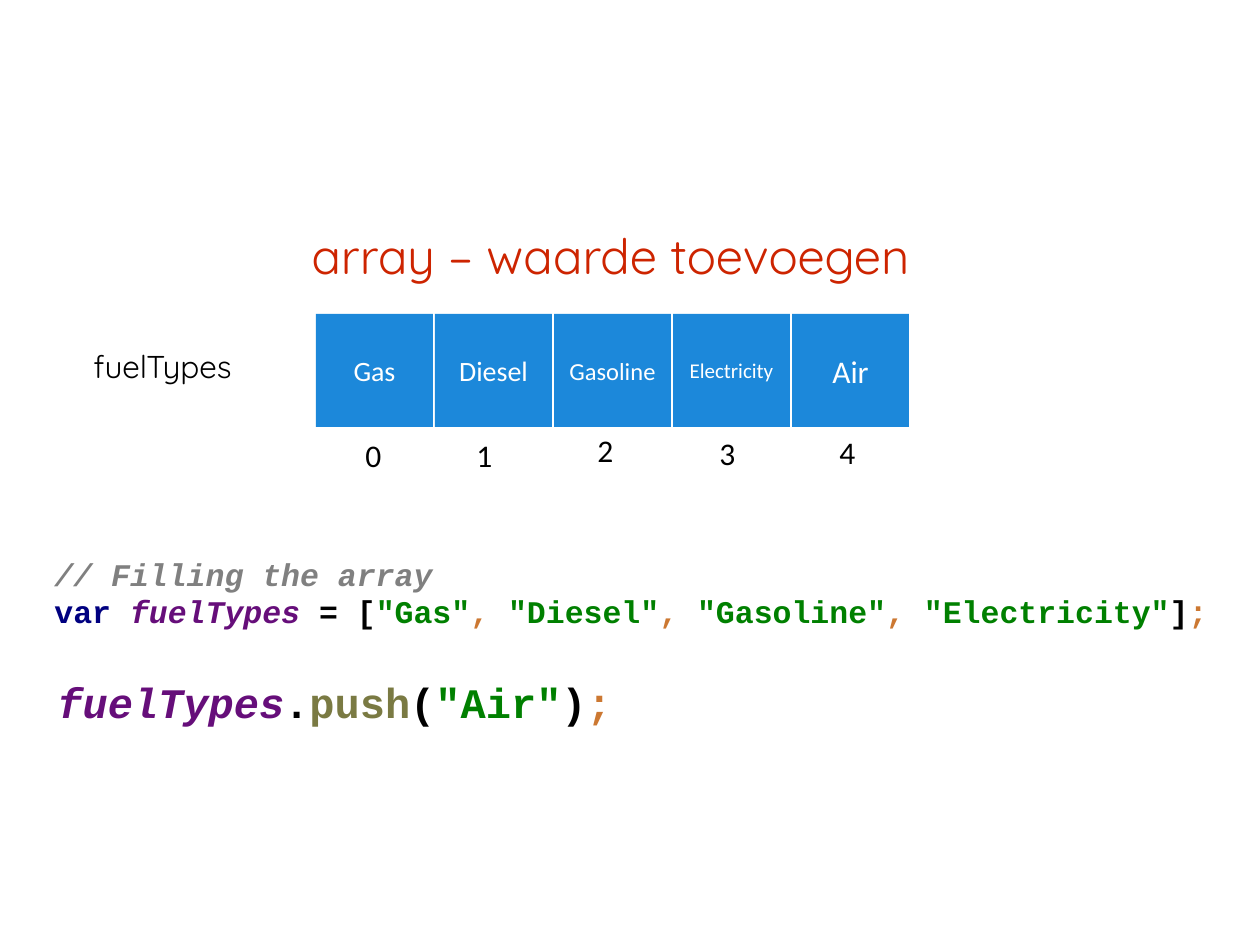
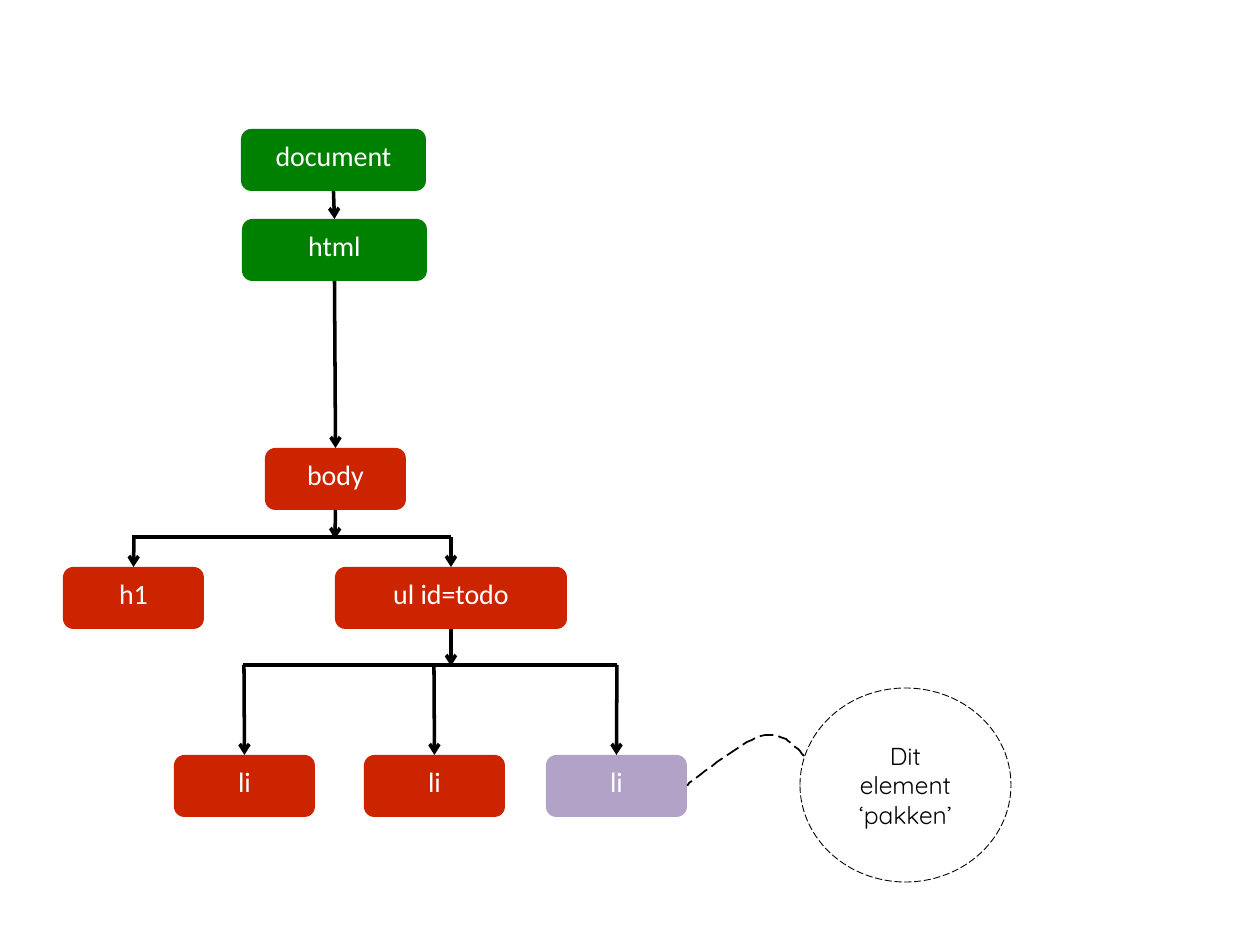
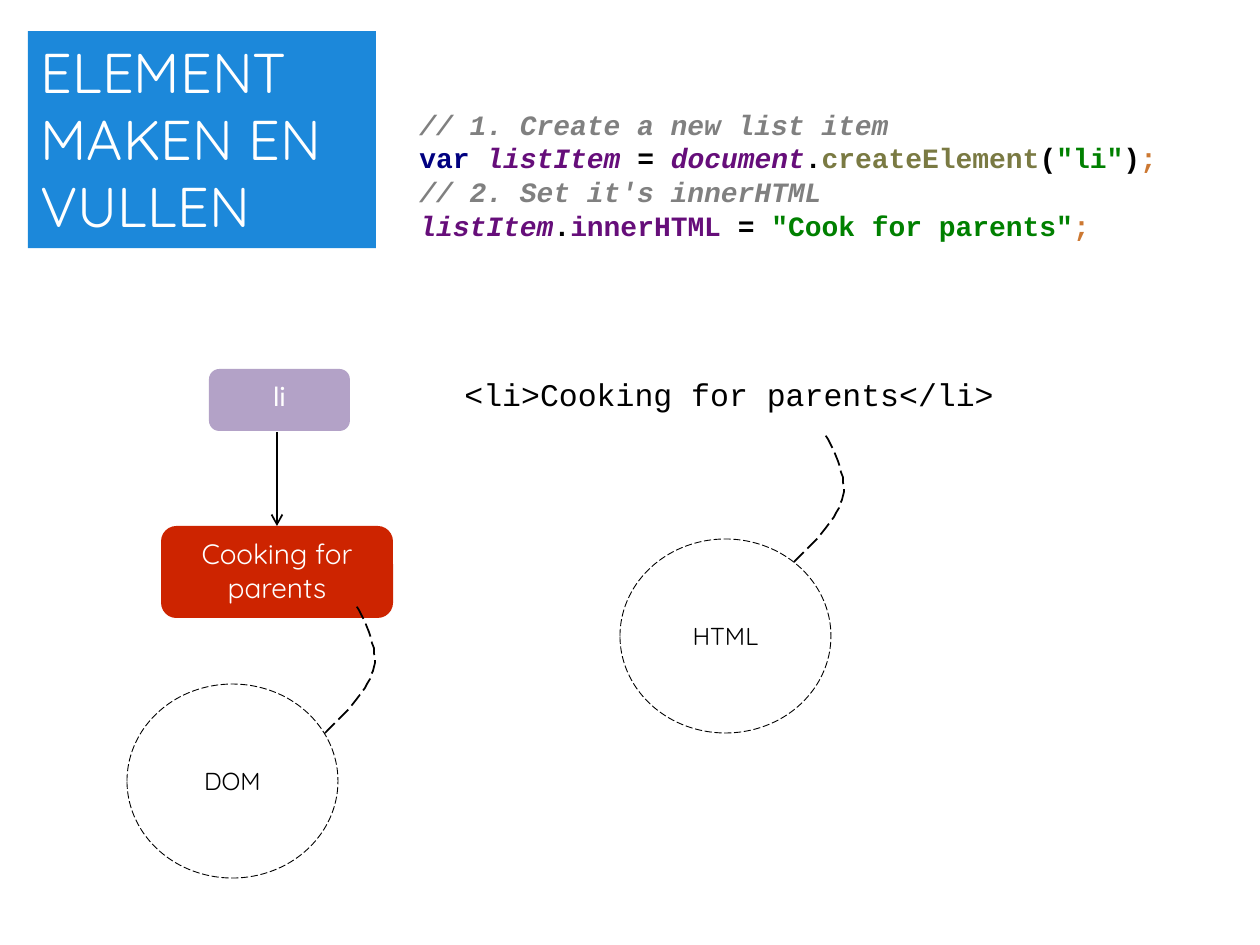
from dataclasses import dataclass

from lxml import etree
from pptx import Presentation
from pptx import util as u
from pptx.dml.color import RGBColor
from pptx.enum import dml, shapes, text
from pptx.oxml import ns

SCALE = u.Inches(1) / 126
TITLE_ONLY, BLANK = 5, 6
TOP, BOTTOM = 0, 2


@dataclass(frozen=True)
class Theme:
    blue: str = "1C88DA"
    red: str = "CD2400"
    green: str = "008000"
    lilac: str = "B3A2C7"
    white: str = "FFFFFF"
    black: str = "000000"
    gray: str = "808080"
    navy: str = "000080"
    purple: str = "660E7A"
    olive: str = "7A7A43"
    orange: str = "CC7832"
    plain_font: str = "Calibri"
    round_font: str = "Quicksand"
    code_font: str = "Courier New"
    banner: int = 32
    heading: int = 28
    big_code: int = 24
    label: int = 18
    node: int = 16
    note: int = 14
    small: int = 12


THEME = Theme()
SYNTAX = {
    "comment": (THEME.gray, True),
    "keyword": (THEME.navy, False),
    "name": (THEME.purple, True),
    "field": (THEME.purple, False),
    "call": (THEME.olive, False),
    "string": (THEME.green, False),
    "plain": (THEME.black, False),
    "mark": (THEME.orange, False),
}


def px(*lengths):
    return [round(length * SCALE) for length in lengths]


def rgb(value):
    return RGBColor.from_string(value)


def style_font(font, name, size, color, bold=False, italic=False):
    font.name, font.size, font.bold, font.italic = name, u.Pt(size), bold, italic
    font.color.rgb = rgb(color)


def write(box, content, *, size, font=THEME.plain_font, color=THEME.white,
          align=text.PP_ALIGN.LEFT, anchor=text.MSO_ANCHOR.TOP, wrap=True, grow=False):
    frame = box.text_frame
    frame.word_wrap = wrap
    frame.vertical_anchor = anchor
    frame.auto_size = text.MSO_AUTO_SIZE.SHAPE_TO_FIT_TEXT if grow else text.MSO_AUTO_SIZE.NONE
    for index, line in enumerate(content.split("\n")):
        para = frame.paragraphs[0] if index == 0 else frame.add_paragraph()
        para.alignment = align
        span = para.add_run()
        span.text = line
        style_font(span.font, font, size, color)


class Painter:
    def __init__(self, theme):
        self.theme = theme
        self.deck = Presentation()
        self.deck.slide_width, self.deck.slide_height = px(1260, 945)
        self.page = None

    def new_page(self, layout):
        self.page = self.deck.slides.add_slide(self.deck.slide_layouts[layout])

    def title(self, bounds, content, fill=None, **style):
        box = self.page.shapes.title
        box.left, box.top, box.width, box.height = px(*bounds)
        if fill:
            box.fill.solid()
            box.fill.fore_color.rgb = rgb(fill)
        write(box, content, font=self.theme.round_font, **style)

    def label(self, bounds, content, **style):
        box = self.page.shapes.add_textbox(*px(*bounds))
        write(box, content, size=self.theme.label, color=self.theme.black,
              wrap=False, grow=True, **style)

    def shape(self, kind, bounds, fill=None):
        box = self.page.shapes.add_shape(kind, *px(*bounds))
        box.shadow.inherit = False
        box.line.fill.background()
        if fill:
            box.fill.solid()
            box.fill.fore_color.rgb = rgb(fill)
        else:
            box.fill.background()
        return box

    def cell(self, bounds, content, size):
        box = self.shape(shapes.MSO_SHAPE.RECTANGLE, bounds, self.theme.blue)
        write(box, content, size=size, align=text.PP_ALIGN.CENTER,
              anchor=text.MSO_ANCHOR.MIDDLE)

    def node(self, bounds, content, fill, **style):
        box = self.shape(shapes.MSO_SHAPE.ROUNDED_RECTANGLE, bounds, fill)
        write(box, content, size=self.theme.node, align=text.PP_ALIGN.CENTER, **style)
        return box

    def dash(self, line, width):
        line.color.rgb = rgb(self.theme.black)
        line.width = u.Pt(width)
        line.dash_style = dml.MSO_LINE.LONG_DASH

    def callout(self, left, top, content):
        box = self.shape(shapes.MSO_SHAPE.OVAL, (left, top, 211, 194))
        self.dash(box.line, 0.5)
        write(box, content, size=self.theme.note, font=self.theme.round_font,
              color=self.theme.black, align=text.PP_ALIGN.CENTER,
              anchor=text.MSO_ANCHOR.MIDDLE)

    def curve(self, points, steps=16):
        track = [points[0]]
        for first in range(0, len(points) - 1, 3):
            corners = points[first:first + 4]
            for step in range(1, steps + 1):
                t = step / steps
                weights = ((1 - t) ** 3, 3 * t * (1 - t) ** 2, 3 * t * t * (1 - t), t ** 3)
                track.append(tuple(sum(w * c[axis] for w, c in zip(weights, corners))
                                   for axis in (0, 1)))
        builder = self.page.shapes.build_freeform(*track[0], scale=SCALE)
        builder.add_line_segments(track[1:], close=False)
        outline = builder.convert_to_shape()
        outline.shadow.inherit = False
        outline.fill.background()
        self.dash(outline.line, 1)

    def line(self, start, end, width=2, arrow=True):
        points = [point if isinstance(point, tuple) else (0, 0) for point in (start, end)]
        link = self.page.shapes.add_connector(
            shapes.MSO_CONNECTOR.STRAIGHT, *px(*points[0], *points[1]))
        if not isinstance(start, tuple):
            link.begin_connect(start, BOTTOM)
        if not isinstance(end, tuple):
            link.end_connect(end, TOP)
        link.line.color.rgb = rgb(self.theme.black)
        link.line.width = u.Pt(width)
        if arrow:
            etree.SubElement(link.line._get_or_add_ln(), ns.qn("a:tailEnd"), type="arrow")
        etree.SubElement(link._element.spPr, ns.qn("a:effectLst"))

    def code(self, bounds, lines, size):
        box = self.shape(shapes.MSO_SHAPE.RECTANGLE, bounds, self.theme.white)
        frame = box.text_frame
        frame.word_wrap = False
        frame.auto_size = text.MSO_AUTO_SIZE.SHAPE_TO_FIT_TEXT
        frame.vertical_anchor = text.MSO_ANCHOR.MIDDLE
        para = frame.paragraphs[0]
        para.alignment = text.PP_ALIGN.LEFT
        style_font(para.font, self.theme.code_font, size, self.theme.black, True)
        for index, line in enumerate(lines):
            if index:
                para.add_line_break()
            for kind, token in line:
                span = para.add_run()
                span.text = token
                color, italic = SYNTAX[kind]
                style_font(span.font, self.theme.code_font, size, color, True, italic)


def array_page(painter):
    theme = painter.theme
    painter.new_page(TITLE_ONLY)
    painter.title((299, 219, 674, 72), "array – waarde toevoegen", size=theme.heading,
                  color=theme.red, wrap=False, grow=True)
    values = [("Gas", theme.node), ("Diesel", theme.node), ("Gasoline", theme.note),
              ("Electricity", theme.small), ("Air", theme.label)]
    for index, (value, size) in enumerate(values):
        painter.cell((316 + 119 * index, 314, 117, 113), value, size)
    painter.label((81, 341, 168, 50), "fuelTypes", font=theme.round_font)
    index_places = [(353, 430), (464, 430), (585, 425), (707, 428), (827, 427)]
    for index, place in enumerate(index_places):
        painter.label((*place, 42, 50), str(index))
    filling = [("keyword", "var "), ("name", "fuelTypes "), ("plain", "= [")]
    for index, (value, _) in enumerate(values[:-1]):
        if index:
            filling.append(("mark", ", "))
        filling.append(("string", f'"{value}"'))
    filling += [("plain", "]"), ("mark", ";")]
    painter.code((42, 548, 1203, 89), [[("comment", "// Filling the array")], filling],
                 theme.label)
    painter.code((45, 670, 585, 63), [[
        ("name", "fuelTypes"), ("plain", "."), ("call", "push"), ("plain", "("),
        ("string", '"Air"'), ("plain", ")"), ("mark", ";")]], theme.big_code)


def tree_page(painter):
    theme = painter.theme
    painter.new_page(BLANK)
    document = painter.node((241, 129, 185, 62), "document", theme.green)
    html = painter.node((242, 219, 185, 62), "html", theme.green)
    body = painter.node((265, 448, 141, 62), "body", theme.red)
    heading = painter.node((63, 567, 141, 62), "h1", theme.red)
    todo = painter.node((335, 567, 232, 62), "ul id=todo", theme.red)
    items = [painter.node((left, 755, 141, 62), "li", fill) for left, fill in
             ((174, theme.red), (364, theme.red), (546, theme.lilac))]
    painter.line(document, html)
    painter.line(html, body)
    painter.line(body, (335, 539))
    painter.line((132, 537), (451, 537), arrow=False)
    painter.line((134, 537), heading)
    painter.line((451, 537), todo)
    painter.line(todo, (451, 666))
    painter.line((243, 665), (617, 665), arrow=False)
    for center, item in zip((244, 434, 617), items):
        painter.line((center, 665), item)
    painter.callout(800, 688, "Dit element\n‘pakken’")
    painter.curve([(804, 756), (793, 743), (781, 731), (761, 736),
                   (742, 741), (687, 785), (687, 785)])


def element_page(painter):
    theme = painter.theme
    painter.new_page(TITLE_ONLY)
    painter.title((28, 31, 348, 217), "ELEMENT MAKEN EN VULLEN", fill=theme.blue,
                  size=theme.banner, grow=True)
    content = painter.node((161, 526, 232, 92), "Cooking for parents", theme.red,
                           font=theme.round_font)
    painter.line((277, 432), content, width=1)
    painter.node((209, 369, 141, 62), "li", theme.lilac)
    painter.label((452, 369, 559, 50), "<li>Cooking for parents</li>", font=theme.code_font)
    painter.callout(127, 684, "DOM")
    painter.callout(620, 539, "HTML")
    tail = [(794, 562), (816, 541), (838, 518), (843, 496),
            (849, 475), (824, 432), (824, 432)]
    for across, down in ((0, 0), (-469, 171)):
        painter.curve([(x + across, y + down) for x, y in tail])
    painter.code((407, 100, 774, 149), [
        [("comment", "// 1. Create a new list item")],
        [("keyword", "var "), ("name", "listItem "), ("plain", "= "), ("name", "document"),
         ("plain", "."), ("call", "createElement"), ("plain", "("), ("string", '"li"'),
         ("plain", ")"), ("mark", ";")],
        [("comment", "// 2. Set it's innerHTML")],
        [("name", "listItem"), ("plain", "."), ("field", "innerHTML "), ("plain", "= "),
         ("string", '"Cook for parents"'), ("mark", ";")],
    ], theme.node)


def main():
    painter = Painter(THEME)
    for build in (array_page, tree_page, element_page):
        build(painter)
    painter.deck.save("out.pptx")


if __name__ == "__main__":
    main()
